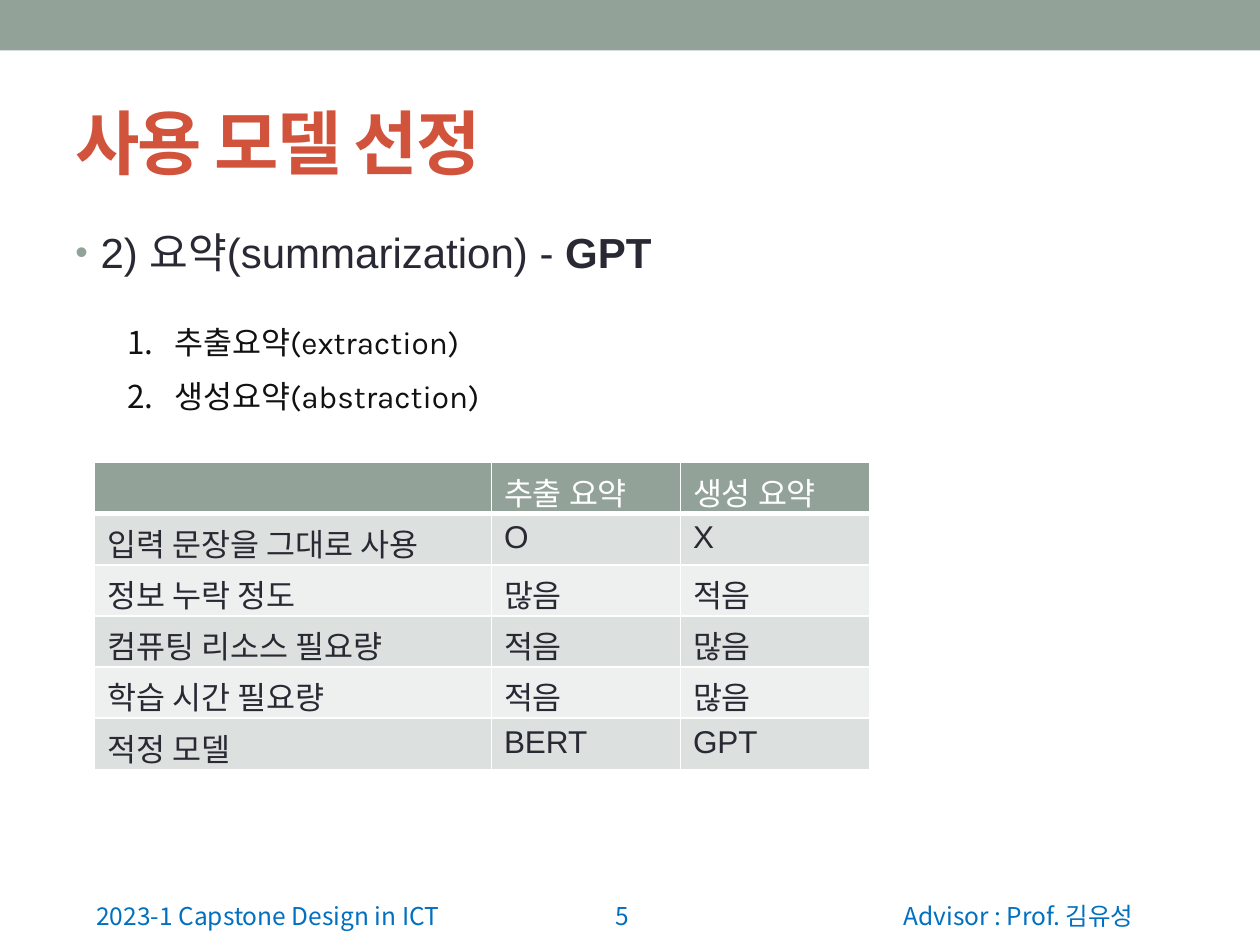
from lxml import etree
from pptx import Presentation
from pptx.dml.color import RGBColor
from pptx.enum import shapes, text
from pptx.oxml import ns
from pptx.util import Pt

SAGE = RGBColor(0x93, 0xA2, 0x99)
BAND = RGBColor(0xDC, 0xE0, 0xDE)
PALE = RGBColor(0xEE, 0xF0, 0xEF)
RED = RGBColor(0xD2, 0x53, 0x3C)
INK = RGBColor(0x29, 0x29, 0x34)
BLACK = RGBColor(0x11, 0x11, 0x11)
BLUE = RGBColor(0x00, 0x70, 0xC0)
WHITE = RGBColor(0xFF, 0xFF, 0xFF)
KOREAN = "Noto Sans CJK KR"
ALIGN = text.PP_ALIGN
ANCHOR = text.MSO_ANCHOR

ROWS = [
    ("", "추출 요약", "생성 요약"),
    ("입력 문장을 그대로 사용", "O", "X"),
    ("정보 누락 정도", "많음", "적음"),
    ("컴퓨팅 리소스 필요량", "적음", "많음"),
    ("학습 시간 필요량", "적음", "많음"),
    ("적정 모델", "BERT", "GPT"),
]


def sub(node, tag, **attrs):
    return etree.SubElement(node, ns.qn(tag), attrs)


def write(para, words, size=18, font="Arial", color=INK, bold=False,
          align=None, track=None):
    """Add one run to a paragraph."""
    run = para.add_run()
    run.text = words
    run.font.size = Pt(size)
    run.font.name = font
    run.font.bold = bold
    run.font.color.rgb = color
    props = run.font._element
    sub(props, "a:ea", typeface=KOREAN)
    if track:
        props.set("spc", str(track))
    if align is not None:
        para.alignment = align


def indent(para, gap):
    """Hang the paragraph by gap points and return its properties."""
    props = para._p.get_or_add_pPr()
    props.set("marL", str(Pt(gap)))
    props.set("indent", str(-Pt(gap)))
    return props


def add_bar(slide, left, top, width, height):
    bar = slide.shapes.add_shape(shapes.MSO_SHAPE.RECTANGLE, Pt(left), Pt(top),
                                 Pt(width), Pt(height))
    bar.shadow.inherit = False
    bar.fill.solid()
    bar.fill.fore_color.rgb = SAGE
    bar.line.fill.background()


def add_box(slide, left, top, width, height, anchor=ANCHOR.TOP):
    """Add a text box and return its frame."""
    box = slide.shapes.add_textbox(Pt(left), Pt(top), Pt(width), Pt(height))
    frame = box.text_frame
    frame.word_wrap = True
    frame.vertical_anchor = anchor
    return frame


def add_topic(slide):
    para = add_box(slide, 36, 126, 648, 383.76).paragraphs[0]
    para.space_before = Pt(4.8)
    props = indent(para, 14.4)
    sub(sub(props, "a:buClr"), "a:srgbClr", val=str(SAGE))
    sub(props, "a:buSzPct", val="85000")
    sub(props, "a:buFont", typeface="Arial")
    sub(props, "a:buChar", char="•")
    write(para, "2) 요약(summarization) - ", size=24)
    write(para, "GPT", size=24, bold=True)


def add_list(slide):
    frame = add_box(slide, 65.5, 179.3, 514, 60.5)
    for i, words in enumerate(("추출요약(extraction)", "생성요약(abstraction)")):
        para = frame.add_paragraph() if i else frame.paragraphs[0]
        para.line_spacing = 1.07
        para.space_after = Pt(8)
        sub(indent(para, 27), "a:buAutoNum", type="arabicPeriod")
        write(para, words, font="Karla", color=BLACK, align=ALIGN.JUSTIFY)


def edge(cell, base):
    """Draw white borders, with the given width below."""
    props = cell._tc.get_or_add_tcPr()
    for i, side in enumerate("LRTB"):
        width = base if side == "B" else 1
        line = etree.Element(ns.qn("a:ln" + side), w=str(Pt(width)))
        sub(sub(line, "a:solidFill"), "a:srgbClr", val=str(WHITE))
        props.insert(i, line)


def add_grid(slide):
    high = 29.2
    grid = slide.shapes.add_table(len(ROWS), 3, Pt(54), Pt(264.4), Pt(442.8),
                                  Pt(high * len(ROWS))).table
    grid.first_row = grid.horz_banding = False
    for col, width in zip(grid.columns, (226.8, 108, 108)):
        col.width = Pt(width)
    for r, row in enumerate(ROWS):
        grid.rows[r].height = Pt(high)
        for c, words in enumerate(row):
            cell = grid.cell(r, c)
            cell.fill.solid()
            cell.fill.fore_color.rgb = (BAND if r % 2 else PALE) if r else SAGE
            edge(cell, 1 if r else 3)
            para = cell.text_frame.paragraphs[0]
            if words:
                write(para, words, color=INK if r else WHITE)
            else:
                para.font.size = Pt(18)


def add_foot(slide):
    for left, width, words, align in (
            (297.4, 69, "5", ALIGN.RIGHT),
            (468, 228, "Advisor : Prof. 김유성", ALIGN.CENTER),
            (48, 228, "2023-1 Capstone Design in ICT", ALIGN.LEFT)):
        frame = add_box(slide, left, 499, width, 36, ANCHOR.BOTTOM)
        write(frame.paragraphs[0], words, size=14, font=KOREAN, color=BLUE,
              align=align)


def main():
    deck = Presentation()
    deck.slide_width, deck.slide_height = Pt(720), Pt(540)
    slide = deck.slides.add_slide(deck.slide_layouts[6])
    add_bar(slide, 0, 0, 720, 28.8)
    add_foot(slide)
    title = add_box(slide, 36, 42, 648, 78, ANCHOR.MIDDLE)
    write(title.paragraphs[0], "사용 모델 선정", size=40, color=RED, bold=True,
          track=-100)
    add_topic(slide)
    add_list(slide)
    add_grid(slide)
    deck.save("out.pptx")


if __name__ == "__main__":
    main()
